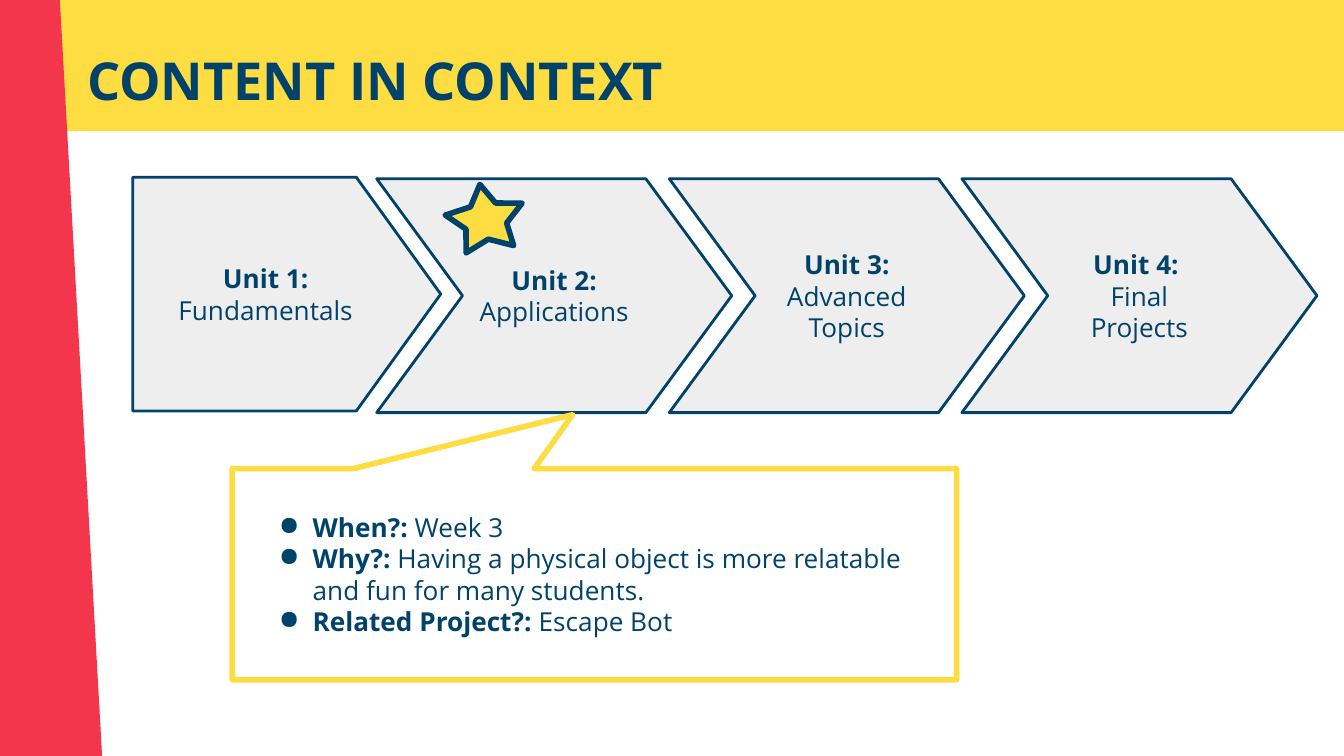
import pptx
import pptx.dml.color
import pptx.enum.shapes
import pptx.enum.text
import pptx.oxml.ns
import pptx.util
from lxml import etree

Cm = pptx.util.Cm
SHAPES = pptx.enum.shapes.MSO_SHAPE
ALIGN = pptx.enum.text.PP_ALIGN
ANCHOR = pptx.enum.text.MSO_ANCHOR
FONT = "Open Sans"
COLORS = {"navy": "01426A", "yellow": "FDDD41", "red": "F4364C",
          "grey": "EEEEEE", "white": "FFFFFF"}

# Each unit holds paragraphs, each paragraph holds (text, bold) runs
UNITS = [
    [[("Unit 1: ", True), ("Fundamentals", False)]],
    [[("Unit 2: ", True), ("Applications", False)]],
    [[("Unit 3: ", True), ("Advanced Topics", False)]],
    [[("Unit 4: ", True)], [("Final Projects", False)]],
]
DETAILS = [
    [("When?: ", True), ("Week 3", False)],
    [("Why?: ", True), ("Having a physical object is more relatable "
                        "and fun for many students.", False)],
    [("Related Project?: ", True), ("Escape Bot", False)],
]


def rgb(name):
    return pptx.dml.color.RGBColor.from_string(COLORS[name])


def add_shape(slide, kind, box, fill=None, line=None, line_width=1.5):
    shape = slide.shapes.add_shape(kind, *(Cm(length) for length in box))
    shape.shadow.inherit = False
    if fill:
        shape.fill.solid()
        shape.fill.fore_color.rgb = rgb(fill)
    else:
        shape.fill.background()
    if line:
        shape.line.color.rgb = rgb(line)
        shape.line.width = pptx.util.Pt(line_width)
    else:
        shape.line.fill.background()
    return shape


def add_bullet(paragraph):
    properties = paragraph._p.get_or_add_pPr()
    properties.set("marL", str(Cm(1.27)))
    properties.set("indent", str(-Cm(0.64)))
    qn = pptx.oxml.ns.qn
    color = etree.SubElement(properties, qn("a:buClr"))
    etree.SubElement(color, qn("a:srgbClr"), val=COLORS["navy"])
    etree.SubElement(properties, qn("a:buChar"), char="●")


def write_text(shape, paragraphs, size=14, align=ALIGN.LEFT,
               anchor=ANCHOR.MIDDLE, bulleted=False):
    frame = shape.text_frame
    frame.word_wrap = True
    frame.vertical_anchor = anchor
    frame.margin_left = frame.margin_right = Cm(0.25)
    frame.margin_top = frame.margin_bottom = Cm(0.25)
    for index, runs in enumerate(paragraphs):
        paragraph = frame.add_paragraph() if index else frame.paragraphs[0]
        paragraph.alignment = align
        if bulleted:
            add_bullet(paragraph)
        paragraph.font.name = FONT
        paragraph.font.size = pptx.util.Pt(size)
        paragraph.font.color.rgb = rgb("navy")
        for text, bold in runs:
            run = paragraph.add_run()
            run.text = text
            run.font.bold = bold


def add_header(slide, left, top, width, height):
    # Yellow band, slanted red side and title
    add_shape(slide, SHAPES.RECTANGLE, (left, top, width, height), "yellow")
    side = add_shape(slide, SHAPES.RECTANGLE,
                     (left - 10.9, top + 1.96, 25.93, 2.74), "red")
    side.rotation = 86.8
    title = slide.shapes.add_textbox(Cm(left + 3.53), Cm(top + 0.84),
                                     Cm(23.67), Cm(1.6))
    write_text(title, [[("CONTENT IN CONTEXT", True)]], size=28,
               anchor=ANCHOR.TOP)


def add_units(slide, left, top, width, height):
    # A pentagon followed by evenly spaced chevrons that end at the right edge
    chevron_width, pitch = 6.71, 5.53
    for index, paragraphs in enumerate(UNITS):
        if index == 0:
            kind, box, point = SHAPES.PENTAGON, (left, top, 5.82, height), 0.361
        else:
            steps_back = len(UNITS) - 1 - index
            chevron_left = left + width - chevron_width - steps_back * pitch
            kind, point = SHAPES.CHEVRON, 0.367
            box = (chevron_left, top + 0.03, chevron_width, height)
        unit = add_shape(slide, kind, box, "grey", "navy")
        unit.adjustments[0] = point
        write_text(unit, paragraphs, align=ALIGN.CENTER)


def add_details(slide, left, top, width, height):
    # Callout pointing at the highlighted unit
    callout = add_shape(slide, SHAPES.RECTANGULAR_CALLOUT,
                        (left, top, width, height), line="yellow", line_width=3)
    callout.adjustments[0] = -0.03
    callout.adjustments[1] = -0.756
    write_text(callout, DETAILS, bulleted=True)


def add_star(slide, left, top, width, height):
    # Marker on the highlighted unit
    star = add_shape(slide, SHAPES.STAR_5_POINT, (left, top, width, height),
                     "yellow", "navy", 3)
    star.adjustments[0] = 0.264
    star.rotation = 351.2


def main():
    presentation = pptx.Presentation()
    presentation.slide_width = Cm(25.4)
    presentation.slide_height = Cm(14.29)
    slide = presentation.slides.add_slide(presentation.slide_layouts[6])
    slide.background.fill.solid()
    slide.background.fill.fore_color.rgb = rgb("white")
    add_header(slide, -2.13, -0.18, 27.94, 2.66)
    add_units(slide, 2.51, 3.35, 22.38, 4.42)
    add_details(slide, 4.39, 8.86, 13.69, 3.99)
    add_star(slide, 8.43, 3.48, 1.47, 1.24)
    presentation.save("out.pptx")


if __name__ == "__main__":
    main()
